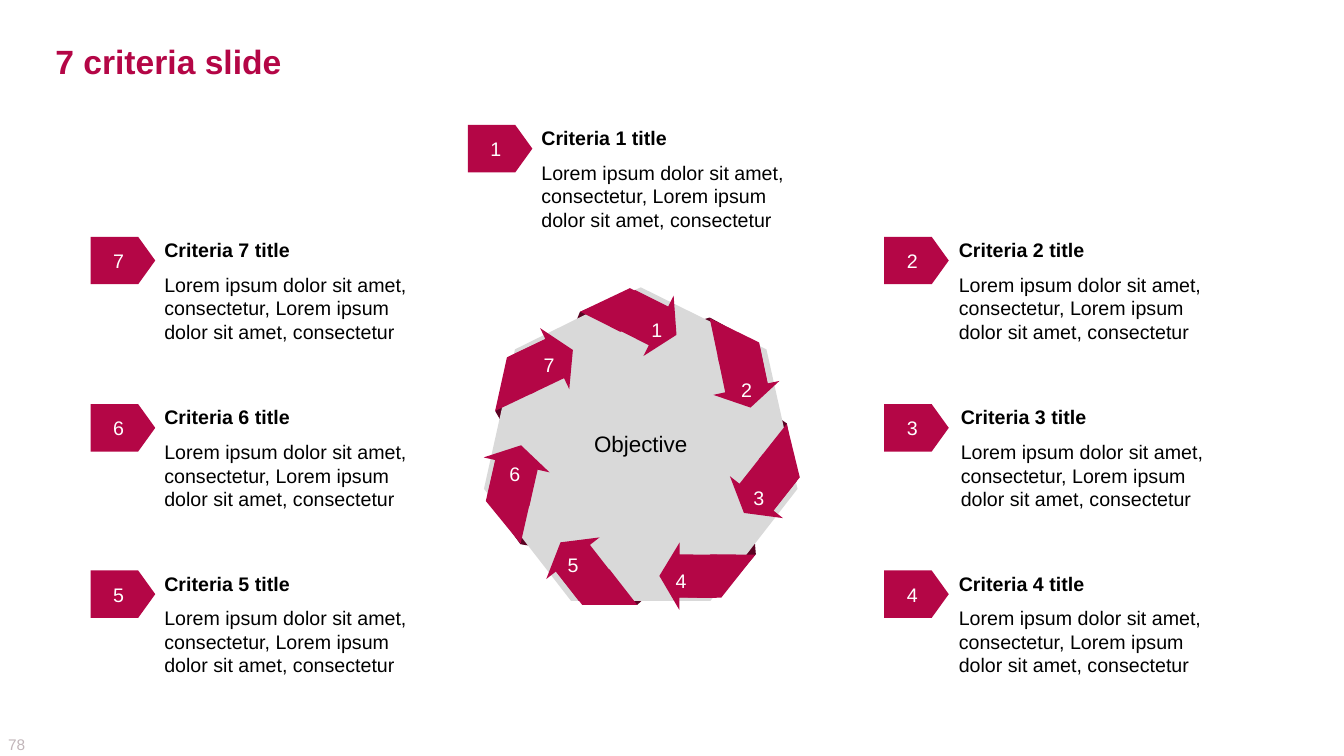
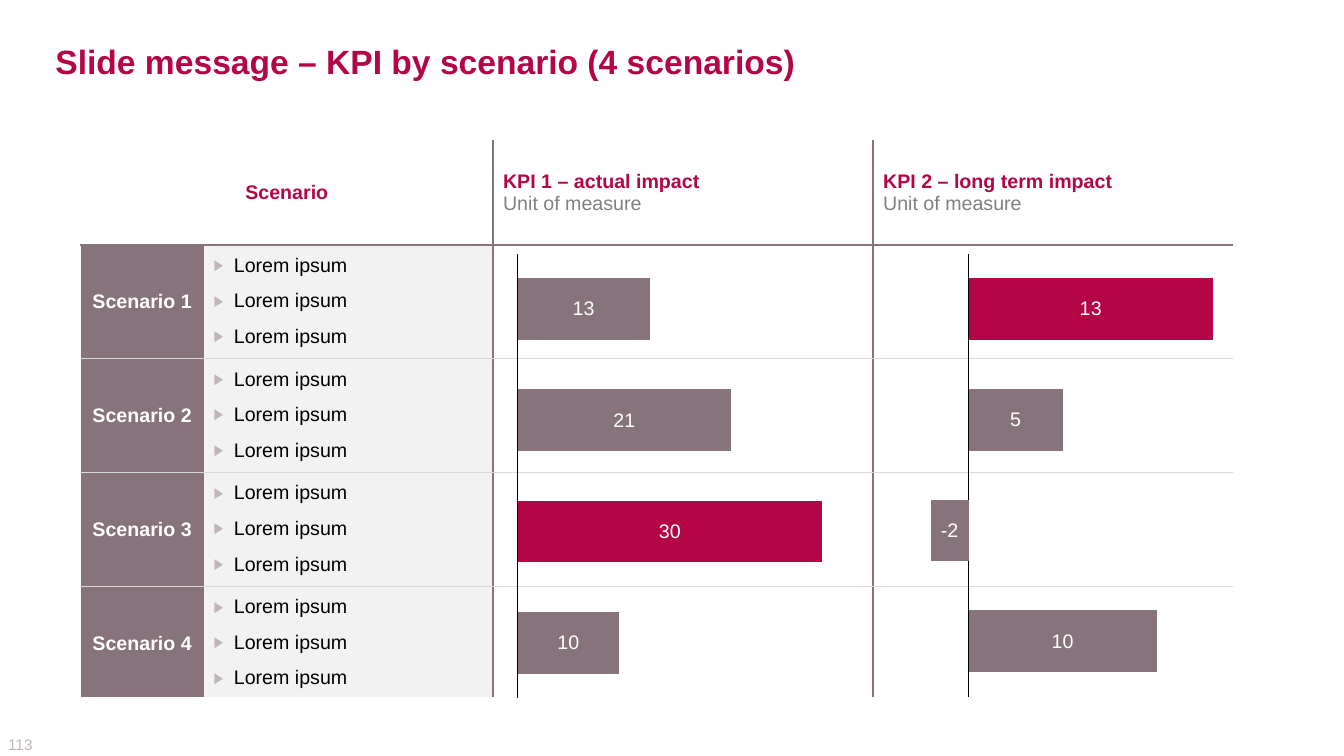
"""Build a seven-criteria wheel slide and a KPI-by-scenario slide."""
from lxml import etree
from pptx import Presentation
from pptx.chart.data import CategoryChartData
from pptx.dml.color import RGBColor
from pptx.enum.chart import XL_CHART_TYPE, XL_LABEL_POSITION, XL_TICK_LABEL_POSITION, XL_TICK_MARK
from pptx.enum.shapes import MSO_SHAPE
from pptx.enum.text import MSO_ANCHOR, PP_ALIGN
from pptx.oxml import parse_xml
from pptx.oxml.ns import nsdecls, qn
from pptx.util import Inches, Pt

RED = RGBColor(0xB4, 0x06, 0x46)
WINE = RGBColor(0x5A, 0x03, 0x23)
PLUM = RGBColor(0x87, 0x73, 0x7B)
MAUVE = RGBColor(0xC1, 0xB5, 0xB9)
SILVER = RGBColor(0xD9, 0xD9, 0xD9)
PALE = RGBColor(0xF2, 0xF2, 0xF2)
GRAY = RGBColor(0x80, 0x80, 0x80)
BLACK = RGBColor(0, 0, 0)
WHITE = RGBColor(0xFF, 0xFF, 0xFF)

MIDDLE, TOP = MSO_ANCHOR.MIDDLE, MSO_ANCHOR.TOP
LEFT, CENTER = PP_ALIGN.LEFT, PP_ALIGN.CENTER

LOREM = "Lorem ipsum dolor sit amet, consectetur, Lorem ipsum dolor sit amet, consectetur"
WHEEL = [
    (26.6, (6.17, 2.86), (5.81, 2.86), (6.48, 3.13), (6.38, 3.07)),
    (78.1, (7.10, 3.43), (6.94, 3.28), (7.12, 4.03), (7.27, 3.67)),
    (128.3, (7.27, 4.53), (7.34, 4.43), (6.85, 5.14), (7.39, 4.74)),
    (180.4, (6.54, 5.38), (6.71, 5.50), (5.85, 5.55), (6.62, 5.56)),
    (232, (5.45, 5.27), (5.52, 5.61), (4.87, 5.03), (5.55, 5.41)),
    (282.8, (4.82, 4.36), (4.65, 4.75), (4.67, 3.90), (4.97, 4.50)),
    (334.5, (5.14, 3.26), (4.78, 3.50), (5.39, 3.07), (5.31, 3.42)),
]
ROWS = [2.35, 4.01, 5.66]
CARDS = [(4.64, 1.24, 5.29), (8.77, ROWS[0], 9.43), (8.77, ROWS[1], 9.45), (8.77, ROWS[2], 9.43)]
CARDS += [(0.9, y, 1.55) for y in reversed(ROWS)]


def put(item, **vals):
    for key, val in vals.items():
        setattr(item, key, val)


class Deck:
    def __init__(self):
        self.show = Presentation()
        put(self.show, slide_width=Inches(13.33), slide_height=Inches(7.5))
        self.slide = None

    def page(self, title, number):
        self.slide = self.show.slides.add_slide(self.show.slide_layouts[6])
        self.text((0.08, 7.29, 0.39, 0.19), [(number, MAUVE, False)],
                  size=11, anchor=MIDDLE, pads=(0, 0, 0, 0))
        self.text((0.47, 0.35, 12.4, 0.51), [(title, RED, True)],
                  size=24, anchor=MIDDLE, pads=(0.08, 0.05, 0.08, 0.05))

    def lay(self, frame, lines, size=14, align=LEFT, gap=0, bullet=False):
        for i, (words, color, bold) in enumerate(lines):
            para = frame.paragraphs[0] if i == 0 else frame.add_paragraph()
            if bullet:
                self.bullet(para)
                para.line_spacing = 1.2
            para.alignment = align
            if i:
                para.space_before = Pt(gap)
            run = para.add_run()
            run.text = words
            put(run.font, name="Arial", size=Pt(size), bold=bold)
            run.font.color.rgb = color

    def bullet(self, para):
        props = para._p.get_or_add_pPr()
        props.set("marL", str(Inches(0.2)))
        props.set("indent", str(-Inches(0.2)))
        tint = etree.SubElement(props, qn("a:buClr"))
        etree.SubElement(tint, qn("a:srgbClr")).set("val", str(MAUVE))
        etree.SubElement(props, qn("a:buSzPct")).set("val", "77000")
        etree.SubElement(props, qn("a:buFont")).set("typeface", "Arial")
        etree.SubElement(props, qn("a:buChar")).set("char", "▶")

    def fit(self, frame, anchor, pads, wrap):
        sides = ("margin_left", "margin_top", "margin_right", "margin_bottom")
        put(frame, word_wrap=wrap, vertical_anchor=anchor,
            **{side: Inches(pad) for side, pad in zip(sides, pads)})

    def text(self, box, lines, anchor=TOP, pads=(0.08,) * 4, wrap=True, **style):
        frame = self.slide.shapes.add_textbox(*map(Inches, box)).text_frame
        self.fit(frame, anchor, pads, wrap)
        self.lay(frame, lines, **style)

    def shape(self, kind, box, color, adjust=(), turn=0, lines=(), **style):
        shape = self.slide.shapes.add_shape(kind, *map(Inches, box))
        shape.shadow.inherit = False
        shape.fill.solid()
        shape.fill.fore_color.rgb = color
        shape.line.fill.background()
        shape.rotation = turn % 360
        for i, val in enumerate(adjust):
            shape.adjustments[i] = val
        if lines:
            self.fit(shape.text_frame, MIDDLE, (0.08,) * 4, True)
            self.lay(shape.text_frame, lines, align=CENTER, **style)

    def card(self, number, left, top, edge):
        self.text((edge, top - 0.04, 2.8, 1.18),
                  [(f"Criteria {number} title", BLACK, True), (LOREM, BLACK, False)],
                  pads=(0.08, 0.05, 0.08, 0.08), gap=8)
        self.shape(MSO_SHAPE.PENTAGON, (left, top, 0.64, 0.47), RED, [0.36],
                   lines=[(str(number), WHITE, False)])

    def wheel(self):
        slant = MSO_SHAPE.PARALLELOGRAM
        for turn, _, _, shade, _ in WHEEL:
            self.shape(slant, (*shade, 0.93, 0.45), WINE, [1], turn + 2)
        self.shape(MSO_SHAPE.HEPTAGON, (4.8, 2.85, 3.11, 3.11), SILVER,
                   lines=[("Objective", BLACK, False)], size=16)
        for turn, head, band, _, _ in WHEEL:
            self.shape(MSO_SHAPE.RIGHT_ARROW, (*head, 0.57, 0.67), RED, [0.64, 0.35], turn)
            self.shape(slant, (*band, 0.78, 0.43), RED, [0.78], turn + 180)
        for i, (*_, spot) in enumerate(WHEEL, 1):
            self.text((*spot, 0.27, 0.39), [(str(i), WHITE, False)], wrap=False, align=CENTER)

    def table(self, box, widths, heights):
        shape = self.slide.shapes.add_table(len(heights), len(widths), *map(Inches, box))
        grid = shape.table
        put(grid, first_row=False, horz_banding=False)
        for col, width in zip(grid.columns, widths):
            col.width = Inches(width)
        for row, height in zip(grid.rows, heights):
            row.height = Inches(height)
        return grid

    def cell(self, cell, color, edges, lines=(), anchor=MIDDLE, **style):
        props = cell._tc.get_or_add_tcPr()
        for side, (tint, width) in edges.items():
            props.append(parse_xml(
                f'<a:ln{side} {nsdecls("a")} w="{Pt(width)}"><a:solidFill>'
                f'<a:srgbClr val="{tint}"/></a:solidFill></a:ln{side}>'))
        cell.fill.solid()
        cell.fill.fore_color.rgb = color
        cell.vertical_anchor = anchor
        self.lay(cell.text_frame, lines, **style)

    def chart(self, box, vals, span, star, plot):
        data = CategoryChartData()
        data.categories = ["1", "2", "3", "4"]
        data.add_series("Series 1", vals)
        chart = self.slide.shapes.add_chart(
            XL_CHART_TYPE.BAR_STACKED, *map(Inches, box), data).chart
        put(chart, has_legend=False, has_title=False)
        put(chart.font, name="Arial", size=Pt(10))
        chart.font.color.rgb = BLACK
        put(chart.value_axis, visible=False, has_major_gridlines=False,
            minimum_scale=span[0], maximum_scale=span[1])
        axis = chart.category_axis
        put(axis, reverse_order=True, major_tick_mark=XL_TICK_MARK.NONE,
            minor_tick_mark=XL_TICK_MARK.NONE,
            tick_label_position=XL_TICK_LABEL_POSITION.NONE)
        axis.format.line.color.rgb = BLACK
        axis.format.line.width = Pt(0.75)
        bars = chart.plots[0]
        put(bars, gap_width=80, overlap=100, vary_by_categories=False, has_data_labels=True)
        tags = bars.data_labels
        put(tags, show_value=True, position=XL_LABEL_POSITION.CENTER)
        put(tags.font, name="Arial", size=Pt(14))
        tags.font.color.rgb = WHITE
        series = bars.series[0]
        series.invert_if_negative = False
        for part, color in ((series, PLUM), (series.points[star], RED)):
            part.format.fill.solid()
            part.format.fill.fore_color.rgb = color
        self.place(chart, plot)

    def place(self, chart, plot):
        area = chart._chartSpace.find(".//" + qn("c:plotArea"))
        for old in area.findall(qn("c:layout")):
            area.remove(old)
        layout = etree.Element(qn("c:layout"))
        manual = etree.SubElement(layout, qn("c:manualLayout"))
        vals = dict(layoutTarget="inner", xMode="edge", yMode="edge",
                    **dict(zip("xywh", plot)))
        for key, val in vals.items():
            etree.SubElement(manual, qn("c:" + key)).set("val", str(val))
        area.insert(0, layout)


def criteria(deck):
    deck.page("7 criteria slide", "78")
    deck.wheel()
    for i, spot in enumerate(CARDS, 1):
        deck.card(i, *spot)


def kpis(deck):
    deck.page("Slide message – KPI by scenario (4 scenarios)", "113")
    grid = deck.table((0.8, 1.39, 11.42, 5.56), [1.22, 2.87, 3.77, 3.56], [1.04] + [1.13] * 4)
    grid.cell(0, 0).merge(grid.cell(0, 1))
    unit = ("Unit of measure", GRAY, False)
    heads = {0: [("Scenario", RED, True)],
             2: [("KPI 1 – actual impact", RED, True), unit],
             3: [("KPI 2 – long term impact", RED, True), unit]}
    rules = [(WHITE, 1), (PLUM, 1)] + [(SILVER, 1)] * 3 + [(WHITE, 6)]
    posts = [(WHITE, 1)] + [(PLUM, 1)] * 3 + [(WHITE, 1)]
    for row in range(5):
        for col in range(4):
            edges = dict(L=posts[col], R=posts[col + 1], T=rules[row], B=rules[row + 1])
            color, look = WHITE, {}
            if row == 0:
                look = dict(lines=heads.get(col, ()), align=LEFT if col else CENTER)
            elif col == 0:
                color = PLUM
                look = dict(lines=[(f"Scenario {row}", WHITE, True)], align=CENTER)
            elif col == 1:
                color = PALE
                look = dict(lines=[("Lorem ipsum", BLACK, False)] * 3,
                            anchor=TOP, gap=6.5, bullet=True)
            deck.cell(grid.cell(row, col), color, edges, **look)
    deck.chart((8.86, 2.47, 3.36, 4.58), [13, 5, -2, 10], (-4, 14), 0, (0, 0.01, 1, 0.96))
    deck.chart((5.1, 2.47, 3.56, 4.55), [13, 21, 30, 10], (0, 35), 2,
               (0.01, 0.01, 0.99, 0.97))


def main():
    deck = Deck()
    criteria(deck)
    kpis(deck)
    deck.show.save("out.pptx")


if __name__ == "__main__":
    main()
